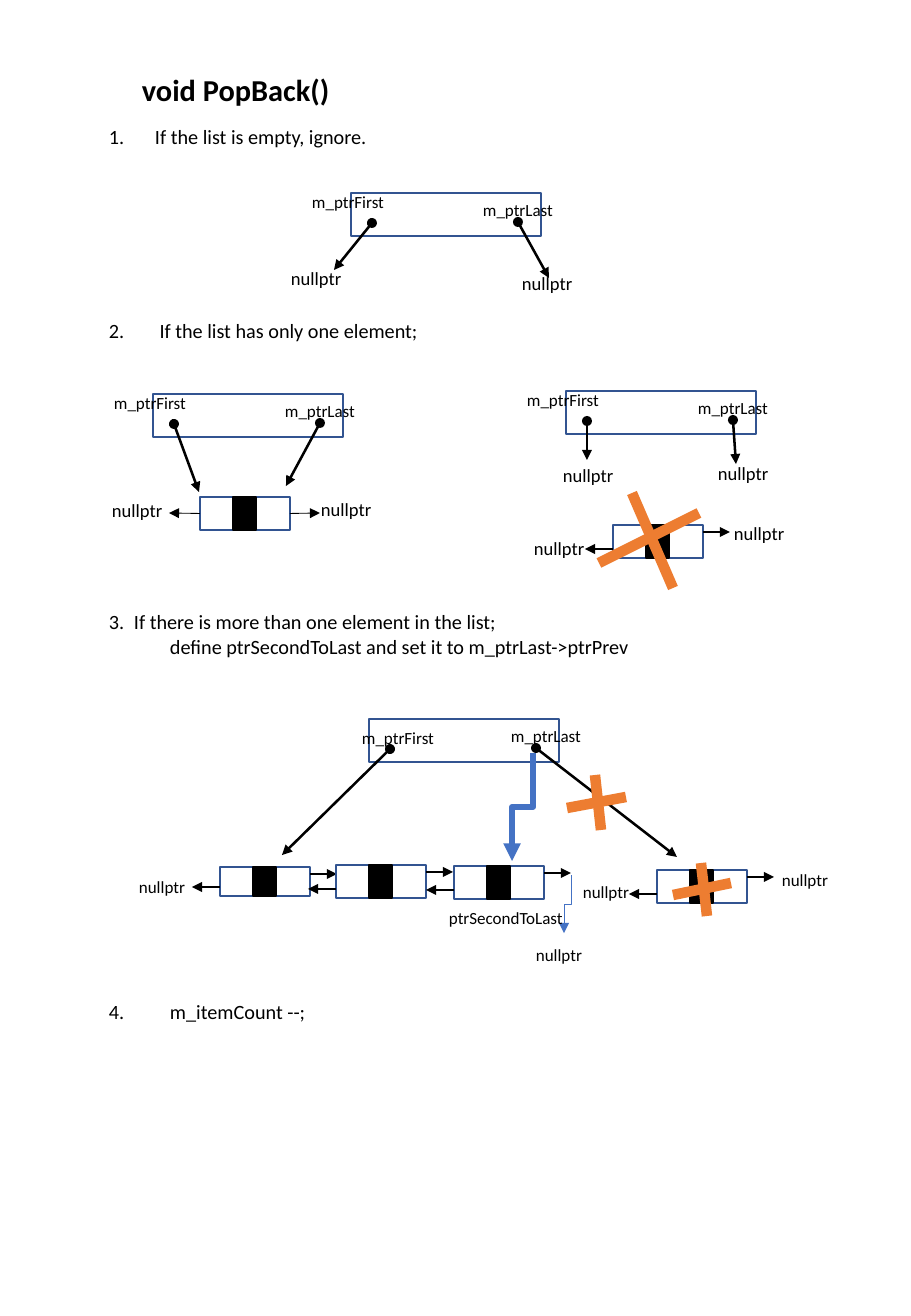
from dataclasses import dataclass

from lxml.etree import SubElement
from pptx import Presentation
from pptx.dml.color import RGBColor
from pptx.enum.shapes import MSO_CONNECTOR, MSO_SHAPE
from pptx.oxml.ns import qn
from pptx.shapes.autoshape import Shape
from pptx.shapes.connector import Connector
from pptx.slide import Slide
from pptx.text.text import TextFrame
from pptx.util import Emu, Pt

Point = tuple[int, int]


@dataclass(frozen=True)
class Theme:
    """Colours, font and type sizes."""
    ink: str = "000000"
    paper: str = "FFFFFF"
    edge: str = "325491"
    cross: str = "ED7D31"
    bend: str = "4472C4"
    font: str = "Calibri"
    title: float = 18
    body: float = 12
    label: float = 11
    small: float = 10.1


@dataclass(frozen=True)
class Step:
    """A line of the numbered text."""
    words: str
    gap: float = 0
    left: int = 0
    hang: int = 0
    auto: bool = False


@dataclass(frozen=True)
class Header:
    """A list object with its first and last pointers."""
    at: Point
    first: Point
    last: Point
    names: tuple[Point, Point] = ((-51, -7), (120, 1))


@dataclass(frozen=True)
class Node:
    """A list element with arrows to both sides."""
    at: Point
    high: int = 33
    mid: bool = False


@dataclass(frozen=True)
class Label:
    """A short free text."""
    at: Point
    size: float
    words: str = "nullptr"
    wide: int = 82


@dataclass(frozen=True)
class Bend:
    """An elbow arrow that runs down, left and down."""
    start: Point
    end: Point
    width: float


THEME = Theme()
STEPS = [
    Step("If the list is empty, ignore.", left=46, hang=46, auto=True),
    Step(" If the list has only one element;", 100.7, 46, 46, True),
    Step("3.\tIf there is more than one element in the list;", 158.4, 25, 25),
    Step("define ptrSecondToLast and set it to m_ptrLast->ptrPrev", left=61),
    Step("4.\tm_itemCount --;", 202.2, 61, 61),
]
HEADERS = [
    Header((351, 193), (334, 270), (549, 278)),
    Header((566, 391), (587, 460), (736, 464)),
    Header((153, 394), (199, 492), (286, 486)),
    Header((369, 719), (282, 855), (677, 857), ((-19, 3), (130, 1))),
]
NODES = [
    Node((613, 525)), Node((200, 497), mid=True), Node((220, 867), 29),
    Node((336, 865)), Node((454, 866)), Node((657, 870)),
]
LABELS = [
    *(Label(at, THEME.label) for at in (
        (510, 266), (279, 261), (722, 516), (522, 531),
        (706, 456), (551, 458), (309, 492), (100, 493))),
    *(Label(at, THEME.small) for at in (
        (127, 870), (770, 863), (524, 938), (571, 875))),
    Label((437, 901), THEME.small, "ptrSecondToLast", 150),
]
BARS = [
    ((632, 493), (673, 588)), ((599, 563), (699, 513)),
    ((701, 863), (707, 916)), ((673, 895), (731, 883)),
    ((595, 775), (601, 830)), ((567, 808), (626, 797)),
]
BENDS = [Bend((533, 753), (512, 861), 3.5), Bend((571, 875), (564, 933), 0.5)]


def px(size: float) -> Emu:
    """Turn px into EMU."""
    return Emu(round(size * 914400 / 121.5))


def write(frame: TextFrame, words: str, *, size: float, bold: bool = False,
          gap: float = 0, left: int = 0, hang: int = 0,
          auto: bool = False) -> None:
    """Add one paragraph to a frame."""
    par = frame.paragraphs[0]
    if par.runs:
        par = frame.add_paragraph()
    par.space_before = Pt(gap)
    run = par.add_run()
    run.text = words
    run.font.name, run.font.size, run.font.bold = THEME.font, Pt(size), bold
    run.font.color.rgb = RGBColor.from_string(THEME.ink)
    props = par._p.get_or_add_pPr()
    props.set("marL", str(px(left)))
    props.set("indent", str(px(-hang)))
    if auto:
        SubElement(props, qn("a:buAutoNum"), type="arabicPeriod")


def box(slide: Slide, at: Point, wide: int, high: int,
        wrap: bool = False) -> TextFrame:
    """Add a text box and return its frame."""
    frame = slide.shapes.add_textbox(px(at[0]), px(at[1]), px(wide), px(high)).text_frame
    frame.word_wrap = wrap
    return frame


def rect(slide: Slide, at: Point, wide: int, high: int, fill: str, edge: str) -> Shape:
    """Add a plain rectangle."""
    shape = slide.shapes.add_shape(
        MSO_SHAPE.RECTANGLE, px(at[0]), px(at[1]), px(wide), px(high))
    shape.shadow.inherit = False
    shape.fill.solid()
    shape.fill.fore_color.rgb = RGBColor.from_string(fill)
    shape.line.color.rgb = RGBColor.from_string(edge)
    shape.line.width = Pt(1)
    return shape


def link(slide: Slide, start: tuple[float, float], end: tuple[float, float], *,
         color: str = THEME.ink, width: float = 1.5, head: str = "",
         tail: str = "triangle",
         kind: MSO_CONNECTOR = MSO_CONNECTOR.STRAIGHT) -> Connector:
    """Add a line with optional ends."""
    line = slide.shapes.add_connector(kind, *map(px, (*start, *end)))
    line.line.color.rgb = RGBColor.from_string(color)
    line.line.width = Pt(width)
    for tag, shape in (("a:headEnd", head), ("a:tailEnd", tail)):
        if shape:
            SubElement(line.line._get_or_add_ln(), qn(tag), type=shape)
    SubElement(line._element.spPr, qn("a:effectLst"))
    return line


def draw_head(slide: Slide, head: Header) -> None:
    """Draw a list object and its pointers."""
    x, y = head.at
    rect(slide, head.at, 190, 43, THEME.paper, THEME.edge)
    link(slide, (x + 21, y + 30), head.first, head="oval")
    link(slide, (x + 167, y + 29), head.last, head="oval")
    for name, (dx, dy) in zip(("m_ptrFirst", "m_ptrLast"), head.names):
        write(box(slide, (x + dx, y + dy), 100, 33), name, size=THEME.small)


def draw_node(slide: Slide, node: Node) -> None:
    """Draw a list element and its arrows."""
    x, y = node.at
    body = rect(slide, node.at, 90, node.high, THEME.paper, THEME.edge)
    rect(slide, (x + 33, y), 23, node.high, THEME.ink, THEME.ink)
    if node.mid:
        half = y + node.high // 2
        for side, start, end in ((3, x + 90, x + 120), (1, x, x - 31)):
            link(slide, (start, half), (end, half), width=0.5).begin_connect(body, side)
    else:
        link(slide, (x + 90, y + 7), (x + 117, y + 7))
        link(slide, (x, y + node.high - 9), (x - 28, y + node.high - 9))


def draw_bend(slide: Slide, bend: Bend) -> None:
    """Draw an elbow arrow turned by a right angle."""
    (x, y), (u, v) = bend.start, bend.end
    mid, half = (x + u) / 2, (y + v) / 2
    run, drop = (v - y) / 2, (x - u) / 2
    line = link(slide, (mid - run, half - drop), (mid + run, half + drop),
                color=THEME.bend, width=bend.width, kind=MSO_CONNECTOR.ELBOW)
    line._element.spPr.find(qn("a:xfrm")).set("rot", "5400000")


def main() -> None:
    """Build and save the slide."""
    deck = Presentation()
    deck.slide_width, deck.slide_height = px(911), px(1316)
    slide = deck.slides.add_slide(deck.slide_layouts[6])
    frame = box(slide, (97, 118), 774, 945, wrap=True)
    for step in STEPS:
        write(frame, step.words, size=THEME.body, gap=step.gap,
              left=step.left, hang=step.hang, auto=step.auto)
    write(box(slide, (130, 65), 214, 86), "void PopBack()", size=THEME.title, bold=True)
    for head in HEADERS:
        draw_head(slide, head)
    for node in NODES:
        draw_node(slide, node)
    for start, end in BARS:
        link(slide, start, end, color=THEME.cross, width=6.25, tail="")
    for bend in BENDS:
        draw_bend(slide, bend)
    for label in LABELS:
        write(box(slide, label.at, label.wide, 34), label.words, size=label.size)
    deck.save("out.pptx")


if __name__ == "__main__":
    main()
